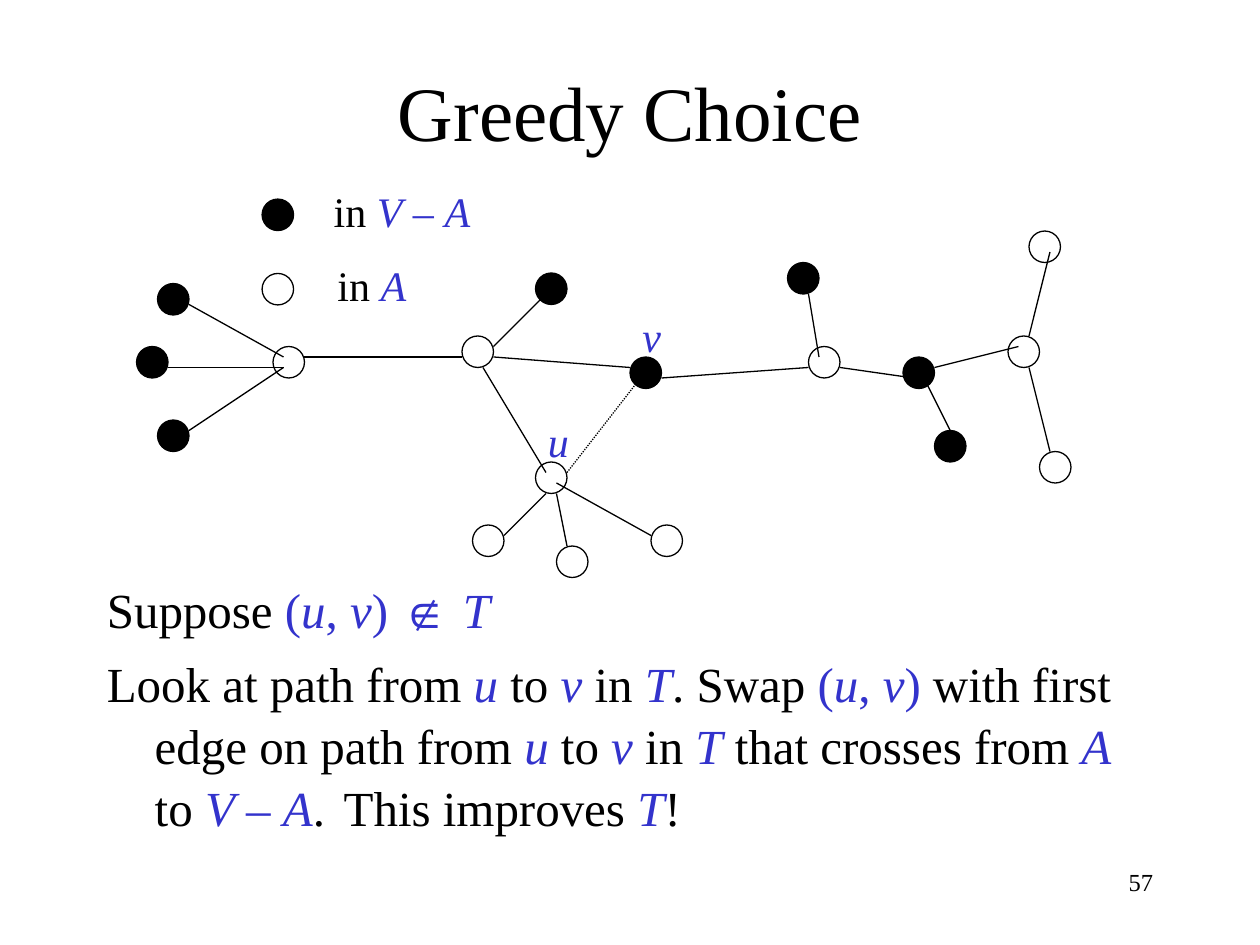
from dataclasses import dataclass
from pptx import Presentation
from pptx import util as u
from pptx.dml import color
from pptx.enum import dml, shapes, text
from pptx.oxml import ns, xmlchemy


@dataclass(frozen=True)
class Theme:
    """Colours, fonts and sizes of the slide."""
    ink: str = "000000"
    math: str = "3333CC"
    font: str = "Times New Roman"
    symbol_font: str = "Arial"
    title: int = 44
    body: int = 28
    label: int = 24
    number: int = 14
    line: float = 0.75


THEME = Theme()
STYLES = {
    "=": {"name": THEME.font, "italic": False, "ink": THEME.ink},
    "+": {"name": THEME.font, "italic": False, "ink": THEME.math},
    "*": {"name": THEME.font, "italic": True, "ink": THEME.math},
    "@": {"name": THEME.symbol_font, "italic": False, "ink": THEME.math},
}
GRID = 12
NODE = 3
OPEN_NODES = [(14, 15), (32, 14), (41, 34), (33, 32), (50, 32), (65, 15),
              (39, 26), (84, 14), (86, 4), (87, 25)]
SOLID_NODES = [(1, 15), (3, 9), (3, 22), (39, 8), (48, 16), (74, 16),
               (77, 23), (63, 7)]
EDGES = [(17, 16, 32, 16), (35, 16, 48, 17), (51, 18, 65, 17),
         (68, 17, 75, 18), (6, 11, 15, 16), (4, 17, 15, 17),
         (6, 23, 15, 17), (35, 15, 40, 10), (41, 29, 42, 34),
         (40, 29, 36, 33), (41, 28, 50, 33), (76, 18, 79, 24),
         (66, 16, 65, 10), (34, 17, 40, 27), (77, 17, 85, 15),
         (88, 6, 86, 14), (86, 17, 88, 25)]
MISSING_EDGE = (42, 27, 49, 18)
NAMES = [("*u", 39, 21), ("*v", 48, 11)]
LEGEND = [("=in |*V|+ – |*A", 0, 0.47, True), ("=in |*A", 0.59, 0.5, False)]
CLAIMS = [
    "=Suppose |+(|*u|+, |*v|+) |@∉ |*T",
    "=Look at path from |*u|= to |*v|= in |*T|=. Swap |+(|*u|+, |*v|+)"
    "|= with first edge on path from |*u|= to |*v|= in |*T"
    "|= that crosses from |*A|= to |*V |+– |*A|=.\tThis improves |*T|=!",
]


def set_all(target, values):
    """Set each named attribute of the target."""
    for name, value in values.items():
        setattr(target, name, value)


def write(para, markup, size):
    """Write spans split by bars, each led by its style mark."""
    for part in markup.split("|"):
        span = para.add_run()
        span.text = part[1:]
        style = dict(STYLES[part[0]], size=u.Pt(size))
        span.font.color.rgb = color.RGBColor.from_string(style.pop("ink"))
        set_all(span.font, style)


def add_text(page, box, markup, size, wrap=True, align=text.PP_ALIGN.LEFT):
    """Add a one-paragraph text box."""
    frame = page.shapes.add_textbox(*map(u.Inches, box)).text_frame
    frame.word_wrap = wrap
    frame.paragraphs[0].alignment = align
    write(frame.paragraphs[0], markup, size)
    return frame


def add_node(page, left, top, solid):
    """Add a round node, solid or open."""
    side = NODE / GRID
    node = page.shapes.add_shape(shapes.MSO_SHAPE.OVAL,
                                 *map(u.Inches, (left, top, side, side)))
    node.shadow.inherit = False
    ink = color.RGBColor.from_string(THEME.ink)
    if solid:
        node.fill.solid()
        node.fill.fore_color.rgb = ink
    else:
        node.fill.background()
    node.line.color.rgb = ink
    node.line.width = u.Pt(THEME.line)


def add_edge(page, ends):
    """Add a thin straight edge and return it."""
    edge = page.shapes.add_connector(shapes.MSO_CONNECTOR.STRAIGHT,
                                     *map(u.Inches, ends))
    edge.line.color.rgb = color.RGBColor.from_string(THEME.ink)
    edge.line.width = u.Pt(THEME.line)
    edge._element.spPr.append(xmlchemy.OxmlElement("a:effectLst"))
    return edge


def add_title(page, box, markup):
    """Place and format the title placeholder."""
    title = page.shapes.title
    set_all(title, dict(zip(("left", "top", "width", "height"),
                            map(u.Inches, box))))
    title.text_frame.vertical_anchor = text.MSO_ANCHOR.MIDDLE
    para = title.text_frame.paragraphs[0]
    para.alignment = text.PP_ALIGN.CENTER
    write(para, markup, THEME.title)


def add_graph(page, box):
    """Draw the tree on a twelfth-inch grid inside the box."""
    left, top = box[:2]

    def place(x, y):
        """Turn grid steps into slide inches."""
        return left + x / GRID, top + y / GRID

    for nodes, solid in ((OPEN_NODES, False), (SOLID_NODES, True)):
        for spot in nodes:
            add_node(page, *place(*spot), solid)
    for ends in EDGES:
        add_edge(page, place(*ends[:2]) + place(*ends[2:]))
    missing = add_edge(page, place(*MISSING_EDGE[:2]) + place(*MISSING_EDGE[2:]))
    missing.line.dash_style = dml.MSO_LINE.ROUND_DOT
    for markup, x, y in NAMES:
        add_text(page, place(x, y) + (0.37, 0.5), markup, THEME.label)


def add_legend(page, box):
    """Explain solid and open nodes inside the box."""
    left, top, width, height = box
    for markup, drop, shift, solid in LEGEND:
        add_node(page, left, top + drop + 0.16, solid)
        add_text(page, (left + shift, top + drop, width - shift, 0.5),
                 markup, THEME.label, wrap=False)


def add_claims(page, box):
    """Write the argument with hanging indents."""
    frame = add_text(page, box, CLAIMS[0], THEME.body)
    write(frame.add_paragraph(), CLAIMS[1], THEME.body)
    frame.paragraphs[1].space_before = u.Pt(7)
    for para in frame.paragraphs:
        para.line_spacing = 1.05
        props = para._p.get_or_add_pPr()
        props.set("marL", str(u.Inches(0.38)))
        props.set("indent", str(u.Inches(-0.38)))
        stops = xmlchemy.OxmlElement("a:tabLst")
        stop = xmlchemy.OxmlElement("a:tab")
        stop.set("pos", str(u.Inches(2.7)))
        stop.set("algn", "l")
        stops.append(stop)
        props.append(stops)


def build():
    """Build and save the slide."""
    deck = Presentation()
    set_all(deck, {"slide_width": u.Inches(10), "slide_height": u.Inches(7.5)})
    page = deck.slides.add_slide(deck.slide_layouts[5])
    add_title(page, (0.75, 0.25, 8.5, 1.25), "=Greedy Choice")
    add_claims(page, (0.75, 4.53, 8.5, 2.14))
    add_graph(page, (1, 1.5, 7.5, 3.08))
    add_legend(page, (2.08, 1.42, 1.75, 1.08))
    add_text(page, (7.17, 6.83, 2.08, 0.5), "=57", THEME.number,
             align=text.PP_ALIGN.RIGHT)
    deck.save("out.pptx")


if __name__ == "__main__":
    build()
